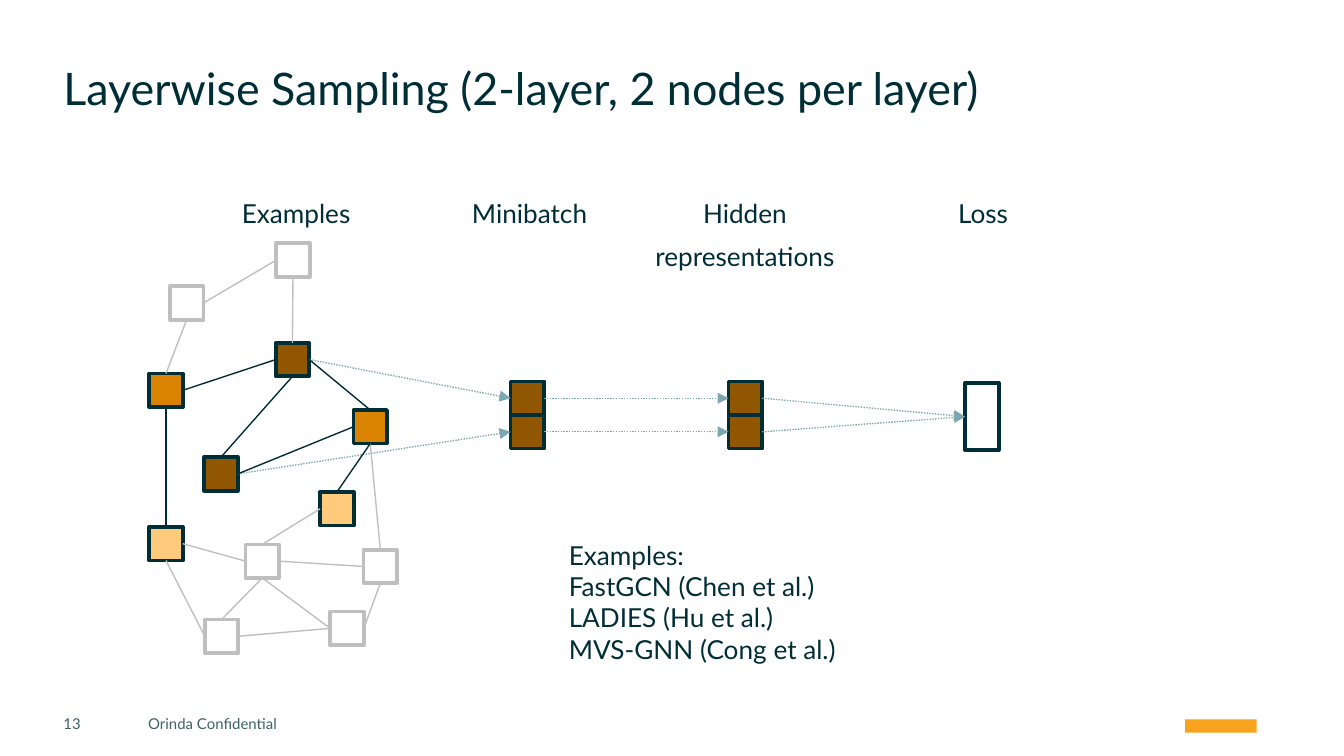
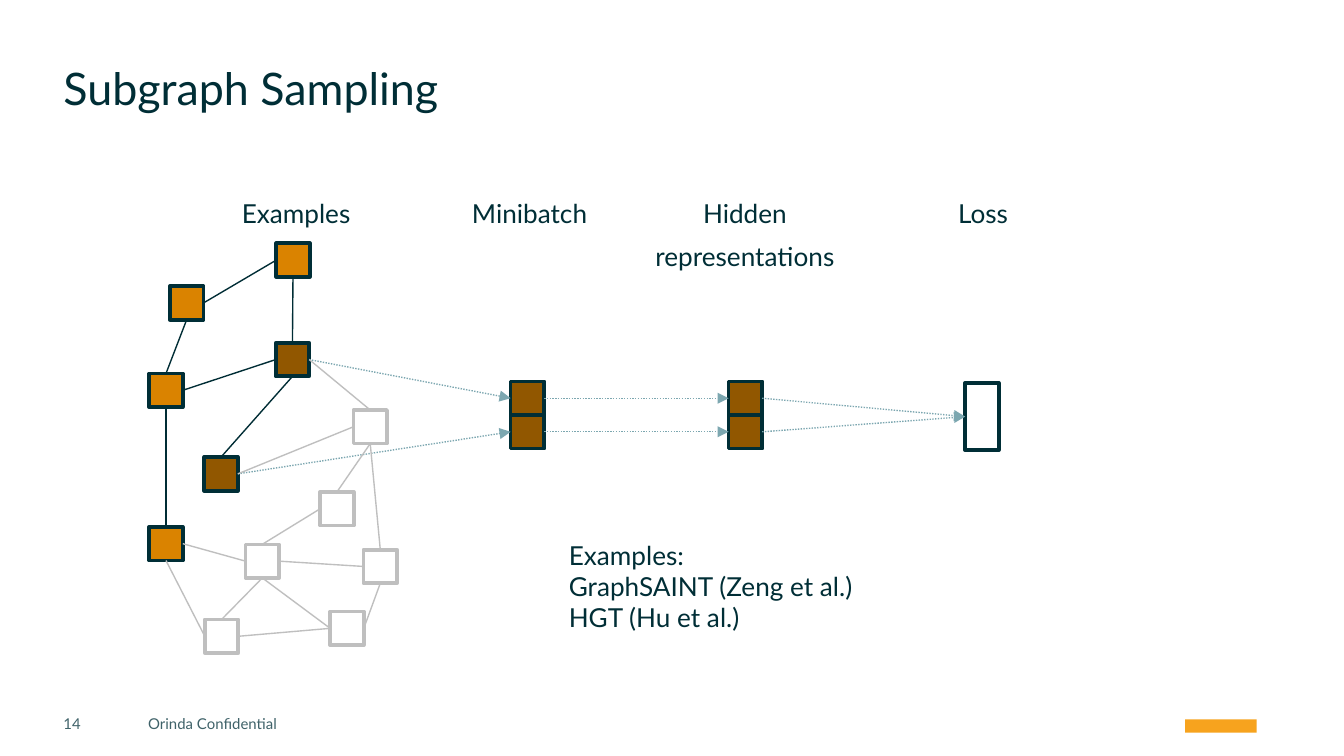
from dataclasses import dataclass

from pptx import Presentation
from pptx.dml.color import RGBColor
from pptx.enum.dml import MSO_LINE
from pptx.enum.shapes import MSO_CONNECTOR, MSO_SHAPE
from pptx.enum.text import MSO_ANCHOR as Anchor, MSO_AUTO_SIZE as AutoSize, PP_ALIGN as Align
from pptx.oxml.ns import qn
from pptx.util import Cm, Pt
from lxml.etree import SubElement


@dataclass(frozen=True)
class Theme:
    font: str = "Lato"
    ink: str = "002E36"
    edge: str = "002D35"
    footer: str = "3F6269"
    faded: str = "BFBFBF"
    flow: str = "7CA7B0"
    seed: str = "915700"
    near: str = "DA8300"
    far: str = "FFCA7B"
    blank: str = "FFFFFF"
    accent: str = "F7A31E"
    title_size: int = 24
    body_size: int = 14
    footer_size: int = 8
    node_line: float = 2
    edge_line: float = 0.75


THEME = Theme()
NODE = 0.635
TOP, LEFT, BOTTOM, RIGHT = range(4)

NODES = {
    "peak": (5.22, 4.6),
    "shoulder": (3.21, 5.41),
    "west": (2.82, 7.06),
    "hub": (5.21, 6.48),
    "root": (3.86, 8.64),
    "southwest": (2.82, 9.96),
    "east": (6.68, 7.75),
    "base_right": (6.24, 11.56),
    "base_left": (3.87, 11.71),
    "southeast": (6.87, 10.39),
    "leaf": (6.05, 9.3),
    "center": (4.64, 10.29),
}

EDGES = [
    ("shoulder", RIGHT, "peak", LEFT),
    ("west", TOP, "shoulder", BOTTOM),
    ("peak", BOTTOM, "hub", TOP),
    ("west", BOTTOM, "southwest", TOP),
    ("west", RIGHT, "hub", LEFT),
    ("hub", RIGHT, "east", TOP),
    ("root", TOP, "hub", BOTTOM),
    ("root", RIGHT, "east", LEFT),
    ("southwest", RIGHT, "center", LEFT),
    ("southwest", BOTTOM, "base_left", LEFT),
    ("base_left", TOP, "center", BOTTOM),
    ("base_left", RIGHT, "base_right", LEFT),
    ("center", BOTTOM, "base_right", LEFT),
    ("center", RIGHT, "southeast", LEFT),
    ("base_right", RIGHT, "southeast", BOTTOM),
    ("east", BOTTOM, "southeast", TOP),
    ("center", TOP, "leaf", LEFT),
    ("east", BOTTOM, "leaf", TOP),
]

HEADINGS = [
    (["Examples"], 4.57, 2.11, Align.LEFT),
    (["Minibatch"], 8.92, 2.11, Align.LEFT),
    (["Hidden", "representations"], 12.62, 2.92, Align.CENTER),
    (["Loss"], 17.12, 2.92, Align.CENTER),
]

SEEDS = dict.fromkeys(["hub", "root"], THEME.seed)

SLIDES = [
    {
        "number": 13,
        "title": "Layerwise Sampling (2-layer, 2 nodes per layer)",
        "sampled": {
            **SEEDS,
            **dict.fromkeys(["west", "east"], THEME.near),
            **dict.fromkeys(["southwest", "leaf"], THEME.far),
        },
        "methods": ["FastGCN (Chen et al.)", "LADIES (Hu et al.)", "MVS-GNN (Cong et al.)"],
    },
    {
        "number": 14,
        "title": "Subgraph Sampling",
        "sampled": {
            **SEEDS,
            **dict.fromkeys(["peak", "shoulder", "west", "southwest"], THEME.near),
        },
        "methods": ["GraphSAINT (Zeng et al.)", "HGT (Hu et al.)"],
    },
]


def rgb(color):
    return RGBColor.from_string(color)


def apply(target, formats):
    for name, value in formats.items():
        setattr(target, name, value)


def write(box, texts, size, color, frame_format=None, para_format=None):
    frame = box.text_frame
    apply(frame, {
        "margin_left": 0, "margin_right": 0, "margin_top": 0, "margin_bottom": 0,
        "auto_size": AutoSize.NONE, "vertical_anchor": Anchor.TOP, "word_wrap": True,
        **(frame_format or {}),
    })
    for index, text in enumerate(texts):
        para = frame.add_paragraph() if index else frame.paragraphs[0]
        apply(para, {"alignment": Align.LEFT, **(para_format or {})})
        para.text = text
        for span in para.runs:
            apply(span.font, {"name": THEME.font, "size": Pt(size)})
            span.font.color.rgb = rgb(color)


def add_text(page, place, texts, size, color, frame_format=None, para_format=None):
    box = page.shapes.add_textbox(*map(Cm, place))
    write(box, texts, size, color, frame_format, para_format)


def add_title(page, text):
    title = page.shapes.title
    apply(title, {"left": Cm(1.2), "top": Cm(1.35), "width": Cm(22.9), "height": Cm(2)})
    write(title, [text], THEME.title_size, THEME.ink, None, {"line_spacing": 0.8})


def add_footer(page, number):
    for left, width, text in [(2.8, 14.2, "Orinda Confidential"), (1.2, 1.57, str(number))]:
        add_text(page, (left, 13.44, width, 0.46), [text], THEME.footer_size, THEME.footer,
                 {"vertical_anchor": Anchor.MIDDLE, "word_wrap": False})
    mark = page.shapes.add_shape(MSO_SHAPE.RECTANGLE, Cm(22.4), Cm(13.6), Cm(1.35), Cm(0.25))
    mark.shadow.inherit = False
    mark.fill.solid()
    mark.fill.fore_color.rgb = rgb(THEME.accent)
    mark.line.fill.background()


def add_node(page, left, top, fill, line=THEME.ink, height=NODE):
    node = page.shapes.add_shape(MSO_SHAPE.RECTANGLE, Cm(left), Cm(top), Cm(NODE), Cm(height))
    node.shadow.inherit = False
    node.fill.solid()
    node.fill.fore_color.rgb = rgb(fill)
    node.line.color.rgb = rgb(line)
    node.line.width = Pt(THEME.node_line)
    return node


def add_link(page, start, start_side, end, end_side, color, arrow=False):
    link = page.shapes.add_connector(MSO_CONNECTOR.STRAIGHT, 0, 0, 0, 0)
    link.begin_connect(start, start_side)
    link.end_connect(end, end_side)
    link.line.color.rgb = rgb(color)
    link.line.width = Pt(THEME.edge_line)
    properties = link._element.spPr
    if arrow:
        link.line.dash_style = MSO_LINE.ROUND_DOT
        SubElement(properties.find(qn("a:ln")), qn("a:tailEnd"), type="triangle")
    SubElement(properties, qn("a:effectLst"))


def add_headings(page):
    for texts, left, width, alignment in HEADINGS:
        add_text(page, (left, 3.73, width, 0.84), texts, THEME.body_size, THEME.ink,
                 {"word_wrap": False},
                 {"alignment": alignment, "space_before": Pt(3), "space_after": Pt(3)})


def add_pair(page, left):
    return [add_node(page, left, 7.21 + row * NODE, THEME.seed) for row in range(2)]


def add_flow(page, graph):
    batch = add_pair(page, 9.65)
    hidden = add_pair(page, 13.77)
    loss = add_node(page, 18.24, 7.24, THEME.blank, height=2 * NODE)
    stages = [[graph["hub"], graph["root"]], batch, hidden, [loss, loss]]
    for sources, targets in zip(stages, stages[1:]):
        for source, target in zip(sources, targets):
            add_link(page, source, RIGHT, target, LEFT, THEME.flow, arrow=True)


def add_graph(page, sampled):
    return {
        name: add_node(page, left, top, sampled.get(name, THEME.blank),
                       THEME.ink if name in sampled else THEME.faded)
        for name, (left, top) in NODES.items()
    }


def add_edges(page, graph, sampled):
    for start, start_side, end, end_side in EDGES:
        color = THEME.edge if start in sampled and end in sampled else THEME.faded
        add_link(page, graph[start], start_side, graph[end], end_side, color)


def add_methods(page, methods):
    add_text(page, (10.75, 10.19, 9.98, 2.54), ["\v".join(["Examples:", *methods])],
             THEME.body_size, THEME.ink, None,
             {"space_before": Pt(3), "space_after": Pt(3)})


def add_page(deck, content):
    page = deck.slides.add_slide(deck.slide_layouts[5])
    add_title(page, content["title"])
    add_footer(page, content["number"])
    graph = add_graph(page, content["sampled"])
    add_headings(page)
    add_flow(page, graph)
    add_edges(page, graph, content["sampled"])
    add_methods(page, content["methods"])


def main():
    deck = Presentation()
    apply(deck, {"slide_width": Cm(25.4), "slide_height": Cm(14.29)})
    for content in SLIDES:
        add_page(deck, content)
    deck.save("out.pptx")


if __name__ == "__main__":
    main()
